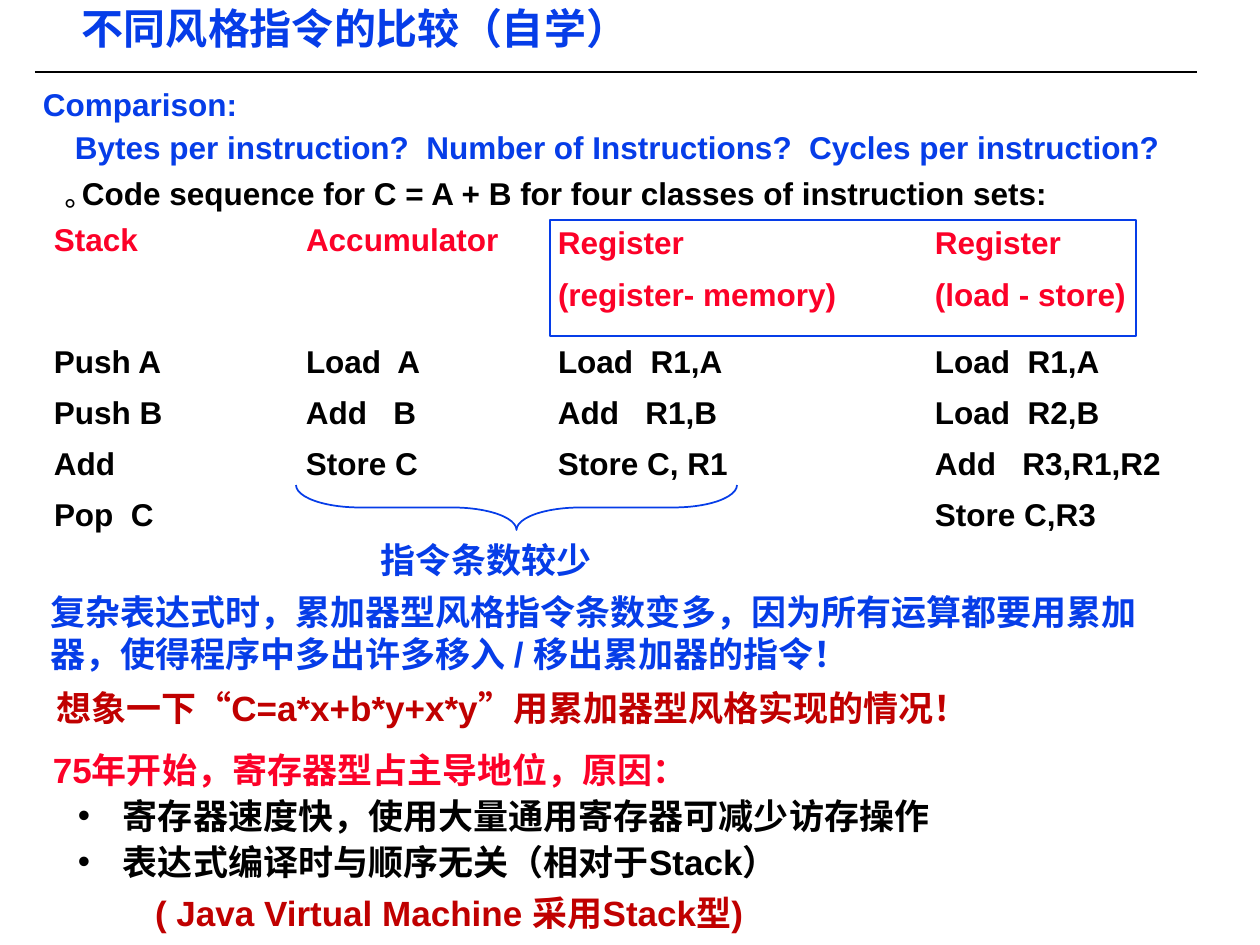
from lxml import etree
from pptx import Presentation
from pptx import util as u
from pptx.dml.color import RGBColor
from pptx.enum import shapes, text
from pptx.oxml import ns

EMU_PER_PX = 914400 / 126
BLUE = RGBColor(0x06, 0x3D, 0xE8)
RED = RGBColor(0xFC, 0x01, 0x28)
DARK_RED = RGBColor(0xC0, 0x00, 0x00)
BLACK = RGBColor(0x00, 0x00, 0x00)

COLUMNS = (54, 306, 558, 935)
CODE_TOP, CODE_PITCH = 342, 51
# One (text, width) list for each column
CODE = (
    (("Push A", 112), ("Push B", 112), ("Add", 66), ("Pop  C", 104)),
    (("Load  A", 120), ("Add   B", 115), ("Store C", 116)),
    (("Load  R1,A", 169), ("Add   R1,B", 163), ("Store C, R1", 174)),
    (("Load  R1,A", 169), ("Load  R2,B", 169), ("Add   R3,R1,R2", 230), ("Store C,R3", 165)),
)
# (column, top, text, width)
HEADINGS = (
    (0, 220, "Stack", 88),
    (1, 220, "Accumulator", 197),
    (2, 223, "Register", 139),
    (3, 223, "Register", 139),
    (2, 275, "(register- memory)", 282),
    (3, 275, "(load - store)", 194),
)
REASONS = ("寄存器速度快，使用大量通用寄存器可减少访存操作",
           "表达式编译时与顺序无关（相对于Stack）")


def px(length):
    return u.Emu(round(length * EMU_PER_PX))


class SlideBuilder:
    font_name = "Arial"
    line_width = u.Pt(1)
    no_inset, small_inset, wide_inset = (0, 0), (9, 4), (13, 6)

    def __init__(self, slide):
        self.slide = slide

    def frame(self, shape, inset, wrap, auto_size):
        frame = shape.text_frame
        frame.word_wrap = wrap
        frame.auto_size = auto_size
        frame.vertical_anchor = text.MSO_ANCHOR.TOP
        frame.margin_left = frame.margin_right = px(inset[0])
        frame.margin_top = frame.margin_bottom = px(inset[1])
        return frame

    def run(self, paragraph, words, color, size, bold=True):
        run = paragraph.add_run()
        run.text = words
        run.font.name = self.font_name
        run.font.size = u.Pt(size)
        run.font.bold = bold
        run.font.color.rgb = color

    def place(self, shape, box):
        shape.left, shape.top, shape.width, shape.height = map(px, box)

    def indent(self, paragraph, left, first, bullet=None):
        properties = paragraph._p.get_or_add_pPr()
        properties.set("marL", str(px(left)))
        properties.set("indent", str(px(first)))
        if bullet:
            etree.SubElement(properties, ns.qn("a:buChar")).set("char", bullet)
        else:
            etree.SubElement(properties, ns.qn("a:buNone"))

    def title(self, box, words):
        shape = self.slide.shapes.title
        self.place(shape, box)
        frame = self.frame(shape, self.small_inset, True, text.MSO_AUTO_SIZE.NONE)
        paragraph = frame.paragraphs[0]
        paragraph.alignment = text.PP_ALIGN.LEFT
        paragraph.line_spacing = 0.87
        self.run(paragraph, words, BLUE, 24)

    def body(self, box, heading, items):
        shape = self.slide.placeholders[1]
        self.place(shape, box)
        frame = self.frame(shape, self.small_inset, True, text.MSO_AUTO_SIZE.NONE)
        for index, words in enumerate((heading, *items)):
            paragraph = frame.add_paragraph() if index else frame.paragraphs[0]
            if index:
                paragraph.level = 1
                self.indent(paragraph, 80, -45, "•")
            else:
                self.indent(paragraph, 10, 0)
            paragraph.space_before = u.Pt(0)
            paragraph.line_spacing = 1.1
            self.run(paragraph, words, BLACK if index else RED, 20)

    def label(self, box, words, color, size=18, inset=no_inset, wrap=False,
              bold=True, spacing=None):
        shape = self.slide.shapes.add_textbox(*map(px, box))
        frame = self.frame(shape, inset, wrap, text.MSO_AUTO_SIZE.SHAPE_TO_FIT_TEXT)
        paragraph = frame.paragraphs[0]
        paragraph.line_spacing = spacing
        self.run(paragraph, words, color, size, bold)

    def outline(self, kind, box):
        shape = self.slide.shapes.add_shape(kind, *map(px, box))
        shape.shadow.inherit = False
        shape.fill.background()
        shape.line.color.rgb = BLUE
        shape.line.width = self.line_width
        return shape

    def brace_below(self, box):
        """Draw a brace pointing down; box is where it stands once turned."""
        left, top, width, height = box
        shift = (width - height) / 2
        shape = self.outline(shapes.MSO_SHAPE.RIGHT_BRACE,
                             (left + shift, top - shift, height, width))
        shape.adjustments[0] = 1.42
        shape.rotation = 90

    def rule(self, left, right, top):
        line = self.slide.shapes.add_connector(
            shapes.MSO_CONNECTOR.STRAIGHT, px(left), px(top), px(right), px(top))
        line.line.color.rgb = BLACK
        line.line.width = self.line_width
        etree.SubElement(line._element.spPr, ns.qn("a:effectLst"))


def main():
    presentation = Presentation()
    presentation.slide_width, presentation.slide_height = u.Inches(10), u.Inches(7.5)
    builder = SlideBuilder(presentation.slides.add_slide(presentation.slide_layouts[1]))
    small, wide = builder.small_inset, builder.wide_inset

    builder.rule(35, 1197, 72)
    builder.title((73, 5, 629, 52), "不同风格指令的比较（自学）")
    builder.label((34, 87, 218, 39), "Comparison:", BLUE, inset=small, spacing=0.85)
    builder.label((66, 130, 1110, 39),
                  "Bytes per instruction?  Number of Instructions?  Cycles per instruction?",
                  BLUE, inset=small, spacing=0.85)
    builder.label((64, 190, 13, 38), "°", BLACK, bold=False)
    builder.label((82, 174, 972, 38),
                  "Code sequence for C = A + B for four classes of instruction sets:", BLACK)

    for column, top, words, width in HEADINGS:
        builder.label((COLUMNS[column], top, width, 38), words, RED)
    for left, instructions in zip(COLUMNS, CODE):
        for row, (words, width) in enumerate(instructions):
            builder.label((left, CODE_TOP + row * CODE_PITCH, width, 38), words, BLACK)

    builder.brace_below((296, 485, 441, 45))
    builder.label((372, 534, 236, 49), "指令条数较少", BLUE, 20, small, wrap=True)
    builder.label((41, 587, 1128, 91),
                  "复杂表达式时，累加器型风格指令条数变多，因为所有运算都要用累加器，"
                  "使得程序中多出许多移入 / 移出累加器的指令！", BLUE, 20, small, wrap=True)
    builder.body((34, 740, 1174, 146), "75年开始，寄存器型占主导地位，原因：", REASONS)
    builder.outline(shapes.MSO_SHAPE.RECTANGLE, (550, 220, 586, 116))
    builder.label((142, 885, 852, 55), "( Java Virtual Machine 采用Stack型)",
                  DARK_RED, 20, wide, wrap=True)
    builder.label((43, 680, 990, 55), "想象一下“C=a*x+b*y+x*y”用累加器型风格实现的情况！",
                  DARK_RED, 20, wide, wrap=True)
    presentation.save("out.pptx")


if __name__ == "__main__":
    main()
